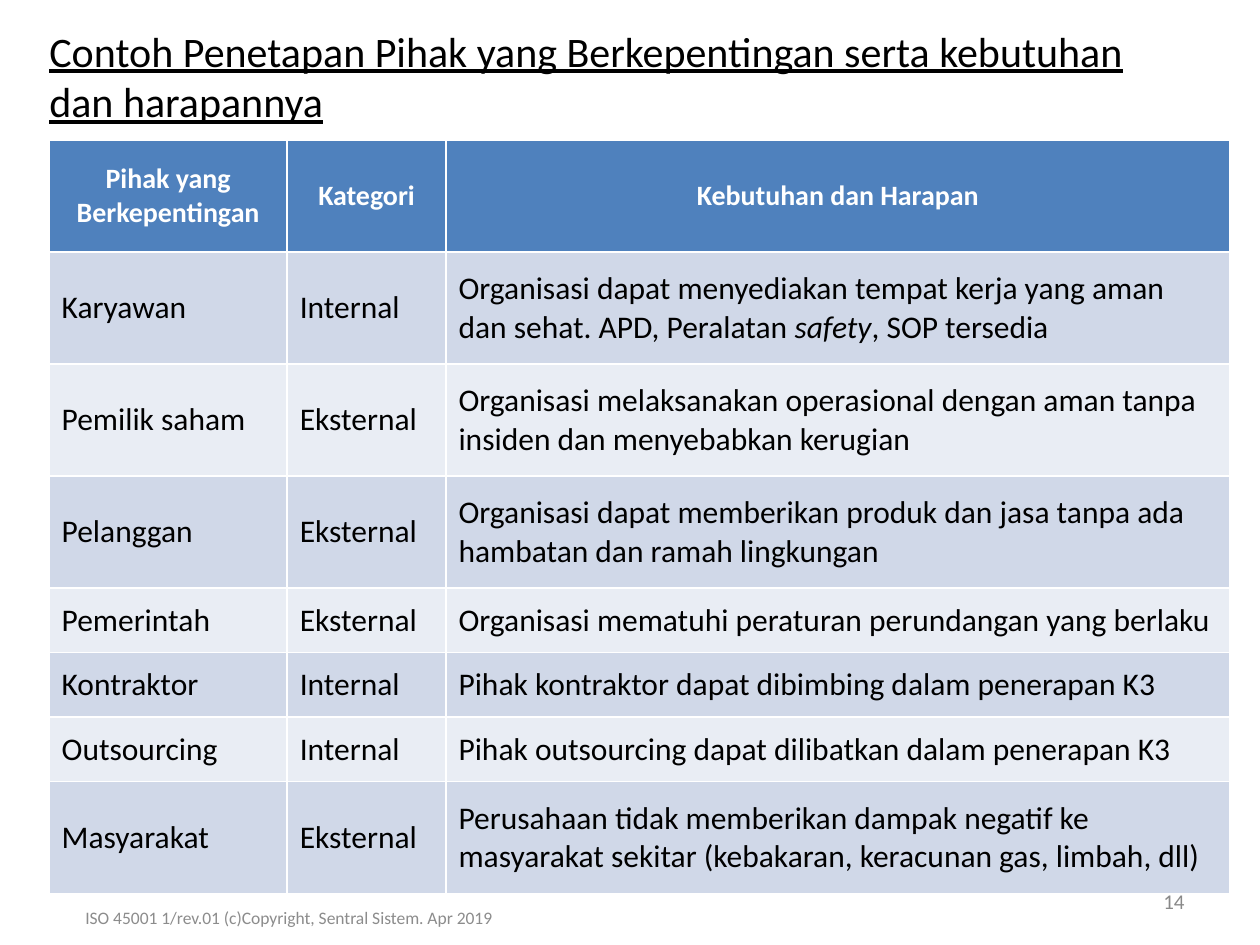
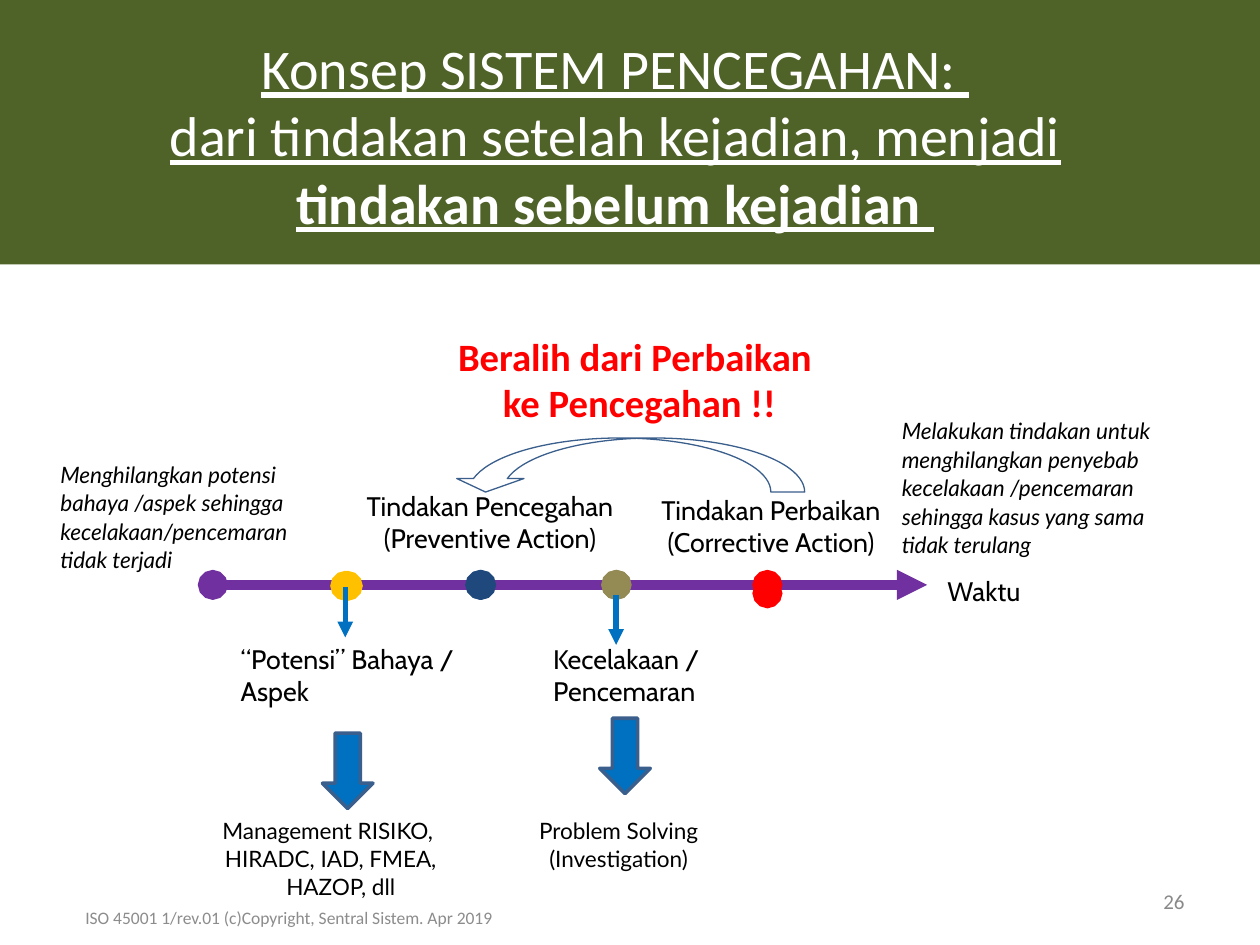
"""Builds two slides on interested parties and on prevention."""
from lxml import etree
from pptx import Presentation
from pptx.dml.color import RGBColor
from pptx.enum.shapes import MSO_CONNECTOR, MSO_SHAPE
from pptx.enum.text import MSO_ANCHOR, MSO_AUTO_SIZE, PP_ALIGN
from pptx.oxml.ns import qn
from pptx.util import Cm, Pt

LEFT, MID, RIGHT = PP_ALIGN.LEFT, PP_ALIGN.CENTER, PP_ALIGN.RIGHT
TOP, HALF = MSO_ANCHOR.TOP, MSO_ANCHOR.MIDDLE
NOFIT = MSO_AUTO_SIZE.NONE
LINE = MSO_CONNECTOR.STRAIGHT
RECT, DOWN = MSO_SHAPE.RECTANGLE, MSO_SHAPE.DOWN_ARROW
CURVE = MSO_SHAPE.CURVED_RIGHT_ARROW

BLACK, WHITE, RED = "000000", "FFFFFF", "FF0000"
GREEN, BLUE, EDGE = "4F6228", "0070C0", "3A5F8C"
HEAD, BANDS = "4F81BD", ("D0D8E8", "E9EDF4")
GREY, PALE = "898989", "8C8C8C"
NOTE = "ISO 45001 1/rev.01 (c)Copyright, Sentral Sistem. Apr 2019"

PARTIES = [
    ("Karyawan", "Internal",
     ("Organisasi dapat menyediakan tempat kerja yang aman dan sehat. "
      "APD, Peralatan ", "*safety", ", SOP tersedia")),
    ("Pemilik saham", "Eksternal",
     "Organisasi melaksanakan operasional dengan aman tanpa insiden "
     "dan menyebabkan kerugian"),
    ("Pelanggan", "Eksternal",
     "Organisasi dapat memberikan produk dan jasa tanpa ada hambatan "
     "dan ramah lingkungan"),
    ("Pemerintah", "Eksternal",
     "Organisasi mematuhi peraturan perundangan yang berlaku"),
    ("Kontraktor", "Internal",
     "Pihak kontraktor dapat dibimbing dalam penerapan K3"),
    ("Outsourcing", "Internal",
     "Pihak outsourcing dapat dilibatkan dalam penerapan K3"),
    ("Masyarakat", "Eksternal",
     "Perusahaan tidak memberikan dampak negatif ke masyarakat sekitar "
     "(kebakaran, keracunan gas, limbah, dll)"),
]
HEADS = ("Pihak yang Berkepentingan", "Kategori", "Kebutuhan dan Harapan")
COLS = (4.8, 3.2, 15.8)
TALL, LOW = 2.26, 1.3
ROWS = (TALL,) * 4 + (LOW,) * 3 + (TALL,)

AXIS = 11.79
DOTS = [((9.68, AXIS), (9.7, AXIS), "1F497D"),
        ((12.42, AXIS), (12.43, AXIS), "948A54"),
        ((15.47, AXIS), (15.47, 11.96), RED),
        ((6.96, 11.81), (7.01, 11.81), "FFC000")]
LABELS = [((10.9, 12.83, 3.66, 1.57), ["Kecelakaan / Pencemaran"], LEFT),
          ((18.85, 11.46, 2.87, 0.91), ["Waktu"], LEFT),
          ((12.75, 9.83, 5.59, 1.57),
           ["Tindakan Perbaikan", "(Corrective Action)"], MID),
          ((6.83, 9.75, 6.1, 1.57),
           ["Tindakan Pencegahan", "(Preventive Action)"], MID),
          ((4.6, 12.83, 5.59, 1.57), ["“Potensi” Bahaya / Aspek"], LEFT)]
AIMS = [((17.93, 8.26, 5.94, 3.15),
         "*Melakukan tindakan untuk menghilangkan penyebab kecelakaan "
         "/pencemaran sehingga kasus yang sama tidak terulang"),
        ((0.97, 9.14, 5.94, 2.57),
         "*Menghilangkan potensi bahaya /aspek sehingga "
         "kecelakaan/pencemaran tidak terjadi")]
TOOLS = [((10.11, 16.31, 4.72, 1.42), ["Problem Solving", "(Investigation)"]),
         ((3.45, 16.31, 6.43, 2),
          ["Management RISIKO, ", "HIRADC, IAD, FMEA, HAZOP, dll"])]


def hue(code):
    """Turn a hex string into a colour."""
    return RGBColor.from_string(code)


def cms(vals):
    """Turn numbers into lengths."""
    return [Cm(v) for v in vals]


def fill_text(frame, lines, size, color=BLACK, face="Calibri", align=LEFT,
              bold=False, under=False, space=None, hang=0):
    """Write paragraphs run by run; a leading star marks italics."""
    for i, line in enumerate(lines):
        para = frame.paragraphs[0] if i == 0 else frame.add_paragraph()
        para.alignment = align
        if space:
            para.line_spacing = space
        if hang:
            props = para._p.get_or_add_pPr()
            props.set("marL", str(Cm(hang)))
            props.set("indent", str(-Cm(hang)))
        for part in (line,) if isinstance(line, str) else line:
            run = para.add_run()
            run.text = part.lstrip("*")
            font = run.font
            font.name, font.size, font.bold = face, Pt(size), bold
            font.italic = part.startswith("*")
            font.underline = under
            font.color.rgb = hue(color)


def add_text(slide, box, lines, size, anchor=TOP, wrap=True, **style):
    """Add a text box."""
    frame = slide.shapes.add_textbox(*cms(box)).text_frame
    frame.word_wrap, frame.vertical_anchor = wrap, anchor
    fill_text(frame, lines, size, **style)


def add_title(slide, box, lines, size, anchor, **style):
    """Move and fill the title placeholder."""
    title = slide.shapes.title
    title.left, title.top, title.width, title.height = cms(box)
    frame = title.text_frame
    frame.auto_size, frame.vertical_anchor = NOFIT, anchor
    fill_text(frame, lines, size, under=True, **style)


def add_form(slide, kind, box, fill=None, edge=None, width=1):
    """Add a preset shape."""
    form = slide.shapes.add_shape(kind, *cms(box))
    form.shadow.inherit = False
    if fill:
        form.fill.solid()
        form.fill.fore_color.rgb = hue(fill)
    else:
        form.fill.background()
    if edge:
        form.line.color.rgb = hue(edge)
        form.line.width = Pt(width)
    else:
        form.line.fill.background()
    return form


def add_line(slide, start, end, color, width, head=None, tail=None):
    """Add a line with optional ends."""
    line = slide.shapes.add_connector(LINE, *cms(start + end))
    line.line.color.rgb = hue(color)
    line.line.width = Pt(width)
    ends = line.line._get_or_add_ln()
    for tag, kind in (("a:headEnd", head), ("a:tailEnd", tail)):
        if kind:
            etree.SubElement(ends, qn(tag)).set("type", kind)
    etree.SubElement(line._element.spPr, qn("a:effectLst"))


def add_grid(slide):
    """Add the table of parties."""
    box = (0.99, 2.82, sum(COLS), sum(ROWS))
    grid = slide.shapes.add_table(len(ROWS), len(COLS), *cms(box)).table
    for col, width in zip(grid.columns, COLS):
        col.width = Cm(width)
    for r, data in enumerate([HEADS] + PARTIES):
        grid.rows[r].height = Cm(ROWS[r])
        for c, words in enumerate(data):
            cell = grid.cell(r, c)
            cell.vertical_anchor = HALF
            cell.fill.solid()
            cell.fill.fore_color.rgb = hue(BANDS[(r - 1) % 2] if r else HEAD)
            if r:
                fill_text(cell.text_frame, [words], 18)
            else:
                fill_text(cell.text_frame, [words], 16, WHITE,
                          align=MID, bold=True)


def add_foot(slide, num):
    """Add the page number and the footer."""
    add_text(slide, (18.21, 17.65, 5.92, 1.02), [str(num)], 12, HALF,
             color=GREY, align=RIGHT)
    add_text(slide, (-0.48, 17.98, 12.6, 1.02), [NOTE], 10, HALF,
             color=PALE, align=MID)


def make_parties(slide):
    """Fill the slide of interested parties."""
    add_title(slide, (0.74, 0.38, 23.39, 2.31),
              ["Contoh Penetapan Pihak yang Berkepentingan serta kebutuhan "
               "dan harapannya"], 24, TOP)
    add_grid(slide)
    add_foot(slide, 14)


def make_shift(slide):
    """Fill the slide on the shift to prevention."""
    band = add_form(slide, RECT, (0, 0, 25.4, 5.33), GREEN)
    slide.shapes._spTree.insert(2, band._element)
    add_title(slide, (1.85, 1.35, 21.11, 2.72),
              ["Konsep SISTEM PENCEGAHAN: ",
               "dari tindakan setelah kejadian, menjadi "], 32, HALF,
              color=WHITE, align=MID)
    last = slide.shapes.title.text_frame.paragraphs[-1]
    run = last.add_run()
    run.text = "tindakan sebelum kejadian "
    font = run.font
    font.name, font.size = "Calibri", Pt(32)
    font.bold = font.underline = True
    font.color.rgb = hue(WHITE)

    add_line(slide, (4.29, AXIS), (18.69, AXIS), "7030A0", 5.75,
             "oval", "triangle")
    for start, end, color in DOTS:
        add_line(slide, start, end, color, 5.75, "oval", "oval")
    for box, lines, align in LABELS:
        add_text(slide, box, lines, 15.3, face="Cabin", align=align)
    for box, words in AIMS:
        add_text(slide, box, [words], 12.9, face="Lato", space=1.05)
    for box, lines in TOOLS:
        add_text(slide, box, lines, 12.9, face="Lato", align=MID,
                 space=1.05, hang=0.41)
    for left, top in ((6.5, 14.78), (12.09, 14.48)):
        add_form(slide, DOWN, (left, top, 1.02, 1.52), BLUE, EDGE, 2)
    for x, y in ((6.96, 11.84), (12.42, 11.99)):
        add_line(slide, (x, y), (x, y + 1.01), BLUE, 3, tail="triangle")

    bend = add_form(slide, CURVE, (12.12, 5.82, 1.09, 7.11), None, EDGE, 0.75)
    bend.rotation = 90
    for i, value in enumerate((0.625, 1.244, 0.25)):
        bend.adjustments[i] = value
    add_text(slide, (8.94, 6.58, 7.72, 2.16),
             ["Beralih dari Perbaikan", " ke Pencegahan !!"], 22.1,
             wrap=False, color=RED, align=MID, bold=True)
    add_foot(slide, 26)


def main():
    """Build and save the deck."""
    deck = Presentation()
    deck.slide_width, deck.slide_height = Cm(25.4), Cm(19.05)
    for make in (make_parties, make_shift):
        make(deck.slides.add_slide(deck.slide_layouts[5]))
    deck.save("out.pptx")


if __name__ == "__main__":
    main()
